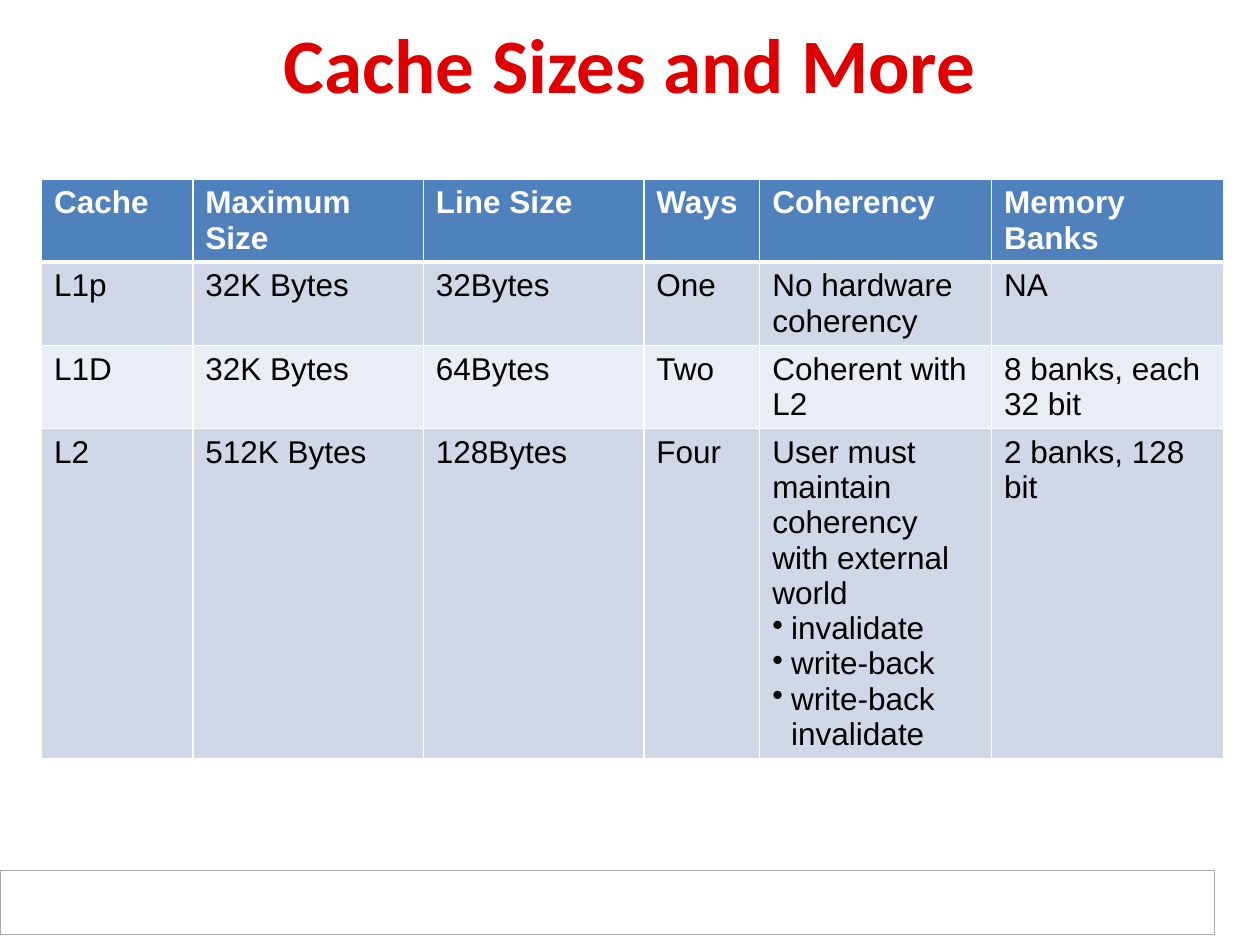
import pptx
import pptx.dml.color
import pptx.enum.shapes
import pptx.enum.text
import pptx.oxml
import pptx.oxml.ns
import pptx.util
from pptx.util import Inches

COLORS = {
    "title": "DE0000",
    "header": "4F81BD",
    "odd_row": "D0D8E8",
    "even_row": "E9EDF4",
    "white": "FFFFFF",
    "black": "000000",
    "footer_line": "AAAAAA",
}
COLUMN_WIDTHS = [1.2, 1.83, 1.75, 0.92, 1.84, 1.84]
ROW_HEIGHT = 0.45
BULLET = "• "
CACHE_ROWS = [
    ["Cache", "Maximum Size", "Line Size", "Ways", "Coherency", "Memory Banks"],
    ["L1p", "32K Bytes", "32Bytes", "One", "No hardware coherency", "NA"],
    ["L1D", "32K Bytes", "64Bytes", "Two", "Coherent with L2",
     "8 banks, each 32 bit"],
    ["L2", "512K Bytes", "128Bytes", "Four",
     "User must maintain coherency with external world\n"
     "• invalidate\n• write-back\n• write-back\vinvalidate",
     "2 banks, 128 bit"],
]


def rgb(name):
    return pptx.dml.color.RGBColor.from_string(COLORS[name])


def add_bullet(para, indent=Inches(0.15)):
    properties = para._p.get_or_add_pPr()
    properties.set("marL", str(indent))
    properties.set("indent", str(-indent))
    bullet = pptx.oxml.parse_xml(
        f'<a:buChar {pptx.oxml.ns.nsdecls("a")} char="•"/>')
    properties.append(bullet)


def write_text(frame, text, font="Arial", size=18, color="black", bold=False,
               align=None):
    """Write one paragraph per line; lines that start with a bullet get one."""
    for index, line in enumerate(text.split("\n")):
        para = frame.paragraphs[0] if index == 0 else frame.add_paragraph()
        if line.startswith(BULLET):
            add_bullet(para)
        para.text = line.removeprefix(BULLET)
        para.alignment = align
        for span in para.runs:
            span.font.name = font
            span.font.size = pptx.util.Pt(size)
            span.font.bold = bold
            span.font.color.rgb = rgb(color)


def set_borders(cell, widths, color="white"):
    """Draw the cell's edges; widths maps L, R, T and B to points."""
    properties = cell._tc.get_or_add_tcPr()
    for side in "LRTB":
        properties.append(pptx.oxml.parse_xml(
            f'<a:ln{side} {pptx.oxml.ns.nsdecls("a")} '
            f'w="{pptx.util.Pt(widths[side])}"><a:solidFill>'
            f'<a:srgbClr val="{COLORS[color]}"/></a:solidFill></a:ln{side}>'))


class SlideBuilder:
    def __init__(self, deck):
        self.page = deck.slides.add_slide(deck.slide_layouts[5])

    def title(self, text, left, top, width, height):
        box = self.page.shapes.title
        box.left, box.top = Inches(left), Inches(top)
        box.width, box.height = Inches(width), Inches(height)
        box.text_frame.vertical_anchor = pptx.enum.text.MSO_ANCHOR.MIDDLE
        write_text(box.text_frame, text, font="Calibri", size=44,
                   color="title", bold=True,
                   align=pptx.enum.text.PP_ALIGN.CENTER)

    def rectangle(self, left, top, width, height, fill, line):
        box = self.page.shapes.add_shape(
            pptx.enum.shapes.MSO_SHAPE.RECTANGLE,
            Inches(left), Inches(top), Inches(width), Inches(height))
        box.shadow.inherit = False
        box.fill.solid()
        box.fill.fore_color.rgb = rgb(fill)
        box.line.color.rgb = rgb(line)
        box.line.width = pptx.util.Pt(0.75)

    def table(self, rows, left, top, height):
        holder = self.page.shapes.add_table(
            len(rows), len(COLUMN_WIDTHS), Inches(left), Inches(top),
            Inches(sum(COLUMN_WIDTHS)), Inches(height))
        table = holder.table
        for column, width in zip(table.columns, COLUMN_WIDTHS):
            column.width = Inches(width)
        for row_index, texts in enumerate(rows):
            table.rows[row_index].height = Inches(ROW_HEIGHT)
            for column_index, text in enumerate(texts):
                self.cell(table.cell(row_index, column_index), text, row_index)
        holder.height = Inches(height)

    def cell(self, cell, text, row_index):
        is_header = row_index == 0
        set_borders(cell, {"L": 1, "R": 1, "T": 3 if row_index == 1 else 1,
                           "B": 3 if is_header else 1})
        band = "odd_row" if row_index % 2 else "even_row"
        if row_index == 0:
            band = "header"
        cell.fill.solid()
        cell.fill.fore_color.rgb = rgb(band)
        write_text(cell.text_frame, text, bold=is_header,
                   color="white" if is_header else "black")


def main():
    deck = pptx.Presentation()
    deck.slide_width, deck.slide_height = Inches(10), Inches(7.5)
    slide = SlideBuilder(deck)
    slide.rectangle(0, 6.91, 9.64, 0.51, fill="white", line="footer_line")
    slide.title("Cache Sizes and More", 0.5, 0.08, 9, 0.83)
    slide.table(CACHE_ROWS, 0.33, 1.42, 4.35)
    deck.save("out.pptx")


if __name__ == "__main__":
    main()
